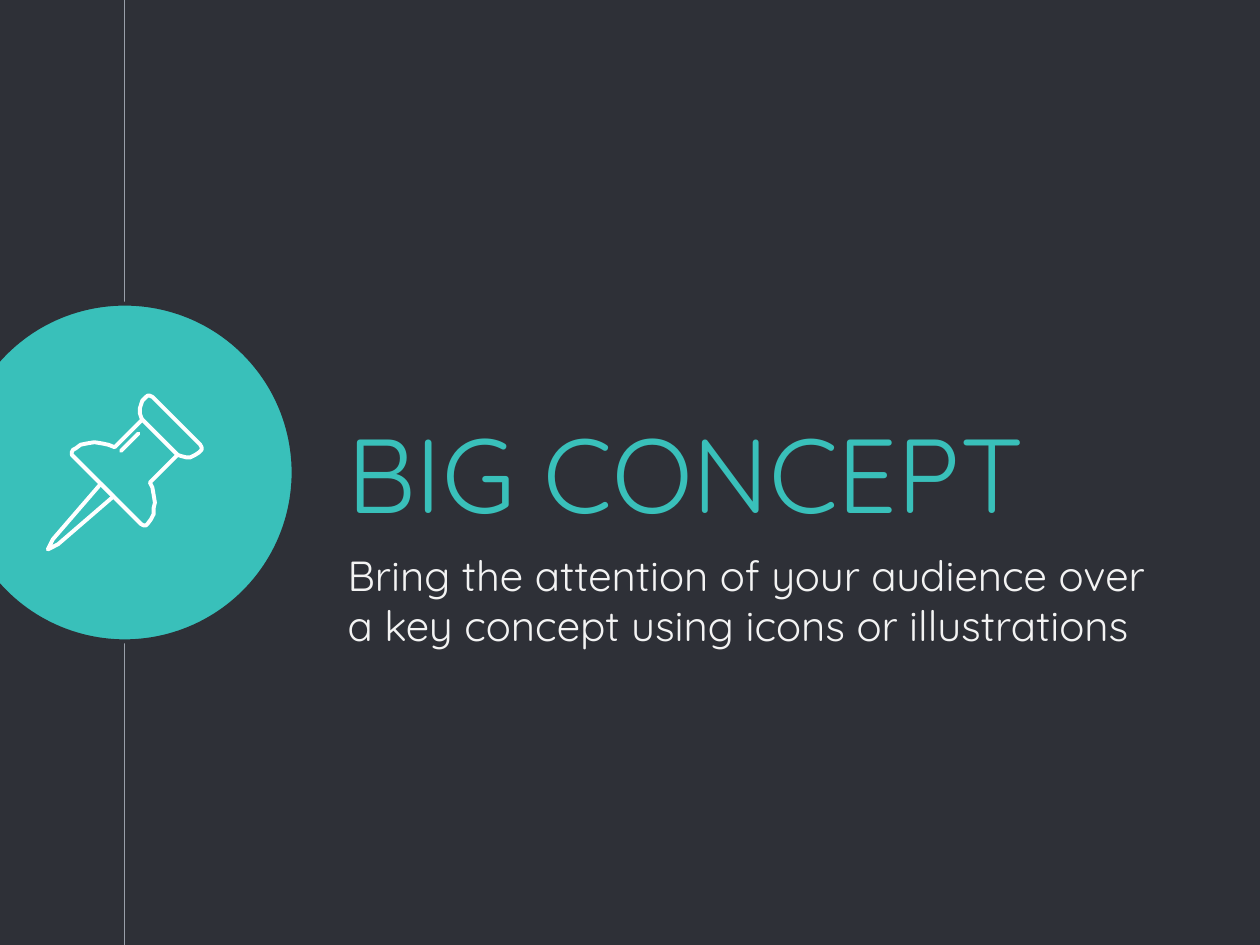
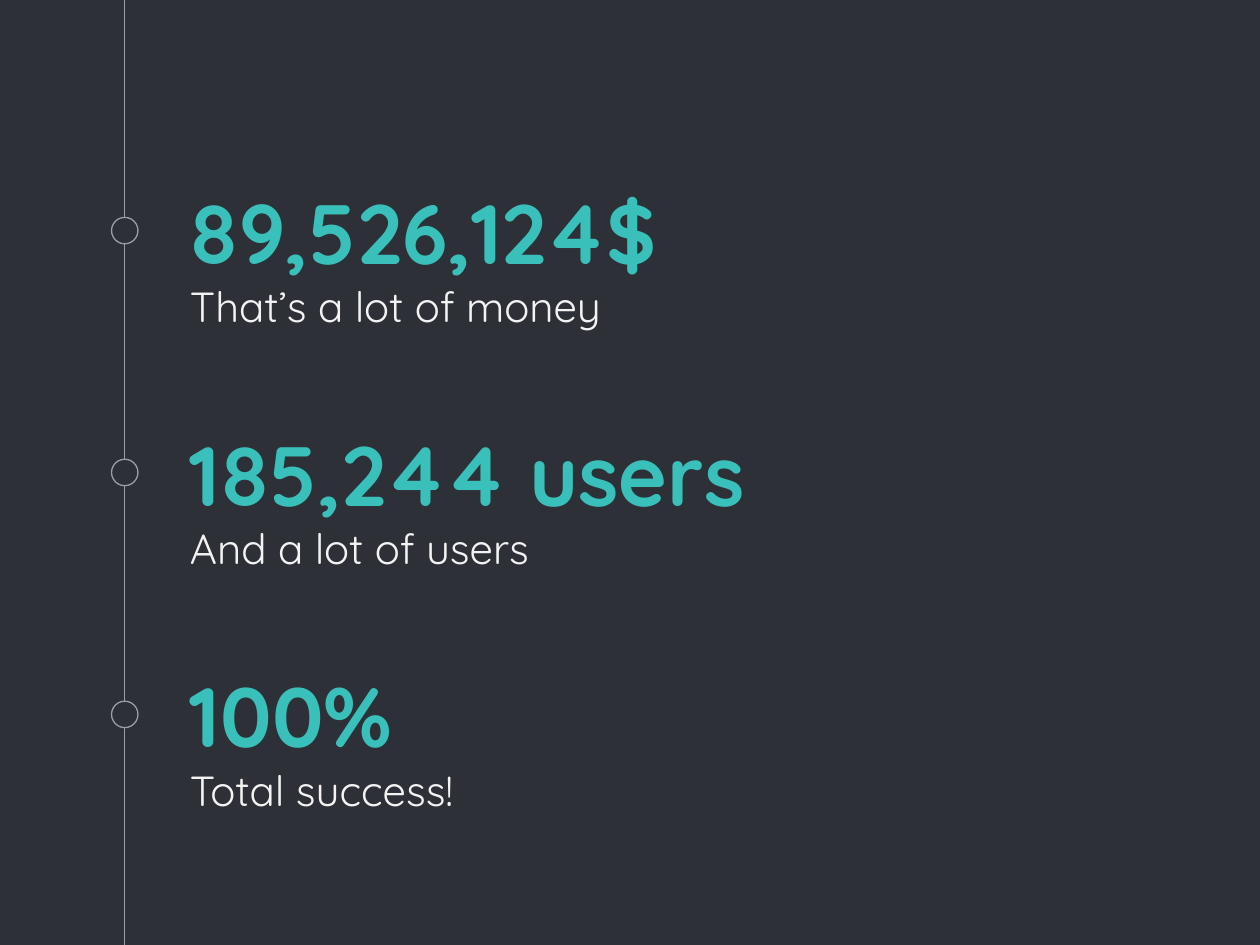
from dataclasses import dataclass

from lxml import etree
from pptx import Presentation, util as u
from pptx.dml.color import RGBColor
from pptx.enum import shapes, text
from pptx.oxml import ns

DARK = RGBColor(0x2E, 0x30, 0x37)
TEAL = RGBColor(0x39, 0xC0, 0xBA)
GREY = RGBColor(0x99, 0x9F, 0xA9)
PALE = RGBColor(0xF3, 0xF3, 0xF3)
WHITE = RGBColor(0xFF, 0xFF, 0xFF)
FONT = "Quicksand"

# Square grid: 100 columns by 75 rows, all positions below are in grid cells
COLUMNS, ROWS = 100, 75
WIDTH = u.Inches(10)
CELL = WIDTH // COLUMNS
AXIS = 9.9              # column of the timeline
MIDDLE = ROWS / 2       # row of the middle dot
DOT = 2.1
DISC = 26.8
STAT_PITCH = 19.2       # rows between two figures


def cells(count: float) -> u.Emu:
    return u.Emu(round(count * CELL))


@dataclass(frozen=True)
class Stat:
    figure: str
    caption: str


@dataclass(frozen=True)
class Stroke:
    """Outline of one part of the pin, in tenths of a cell."""
    points: tuple[tuple[int, int], ...]
    closed: bool = True


STATS = (
    Stat("89,526,124$", "That’s a lot of money"),
    Stat("185,244 users", "And a lot of users"),
    Stat("100%", "Total success!"),
)

NEEDLE = Stroke(((80, 384), (42, 428), (38, 436), (46, 432), (90, 394)))
HEAD = Stroke((
    (113, 333), (141, 361), (144, 362), (148, 363), (151, 363), (155, 361),
    (158, 359), (160, 357), (160, 355), (159, 353), (121, 315), (119, 314),
    (117, 314), (115, 316), (113, 318), (112, 321), (111, 324), (111, 328),
    (112, 331)))
BODY = Stroke((
    (113, 333), (91, 355), (86, 353), (81, 352), (75, 351), (69, 352),
    (64, 353), (60, 356), (58, 357), (57, 359), (57, 361), (58, 362),
    (112, 416), (114, 417), (116, 417), (117, 416), (120, 412), (122, 408),
    (122, 403), (123, 399), (122, 393), (121, 387), (119, 383), (141, 361)),
    closed=False)
SHINE = Stroke(((96, 358), (110, 344)), closed=False)


def add_text(slide, content: str, left: float, top: float, width: float,
             height: float, *, size: float, color: RGBColor,
             bold: bool = False, anchor=text.MSO_ANCHOR.TOP) -> None:
    box = slide.shapes.add_textbox(*map(cells, (left, top, width, height)))
    frame = box.text_frame
    frame.word_wrap = True
    frame.vertical_anchor = anchor
    frame.margin_left = frame.margin_right = cells(1)
    frame.margin_top = frame.margin_bottom = cells(1)
    run = frame.paragraphs[0].add_run()
    run.text = content
    run.font.name = FONT
    run.font.size = u.Pt(size)
    run.font.bold = bold
    run.font.color.rgb = color


def add_circle(slide, row: float, diameter: float, fill: RGBColor,
               line: RGBColor, weight: float) -> None:
    """Circle centred on the timeline."""
    circle = slide.shapes.add_shape(
        shapes.MSO_SHAPE.OVAL, cells(AXIS - diameter / 2),
        cells(row - diameter / 2), cells(diameter), cells(diameter))
    circle.shadow.inherit = False
    circle.fill.solid()
    circle.fill.fore_color.rgb = fill
    circle.line.color.rgb = line
    circle.line.width = u.Pt(weight)


def add_pin(slide) -> None:
    pin = slide.shapes.add_group_shape()
    for stroke in (NEEDLE, HEAD, BODY, SHINE):
        start, *rest = stroke.points
        builder = pin.shapes.build_freeform(*start, scale=CELL / 10)
        builder.add_line_segments(rest, close=stroke.closed)
        part = builder.convert_to_shape()
        part.shadow.inherit = False
        part.fill.background()
        part.line.color.rgb = WHITE
        part.line.width = u.Pt(2.25)
        # Rounded ends and corners
        outline = part.line._get_or_add_ln()
        outline.set("cap", "rnd")
        etree.SubElement(outline, ns.qn("a:round"))


def add_timeline_slide(deck):
    """Dark blank slide with the vertical timeline."""
    slide = deck.slides.add_slide(deck.slide_layouts[6])
    slide.background.fill.solid()
    slide.background.fill.fore_color.rgb = DARK
    timeline = slide.shapes.add_connector(
        shapes.MSO_CONNECTOR.STRAIGHT, cells(AXIS), 0, cells(AXIS), cells(ROWS))
    timeline.line.color.rgb = GREY
    timeline.line.width = u.Pt(0.75)
    etree.SubElement(timeline._element.spPr, ns.qn("a:effectLst"))
    return slide


def build_concept(deck) -> None:
    slide = add_timeline_slide(deck)
    add_circle(slide, MIDDLE, DISC, TEAL, DARK, 2.25)
    add_text(slide, "BIG CONCEPT", 26.6, 29, 65.9, 16.9, size=60, color=TEAL,
             anchor=text.MSO_ANCHOR.MIDDLE)
    add_text(slide, "Bring the attention of your audience over a key concept "
             "using icons or illustrations", 26.6, 42.6, 65.9, 11.4,
             size=24, color=PALE)
    add_pin(slide)


def build_stats(deck) -> None:
    slide = add_timeline_slide(deck)
    for index, stat in enumerate(STATS):
        row = MIDDLE + (index - 1) * STAT_PITCH
        add_circle(slide, row, DOT, DARK, GREY, 0.75)
        add_text(slide, stat.figure, 14.1, row - 8.1, 77.6, 13.1, size=48,
                 color=TEAL, bold=True, anchor=text.MSO_ANCHOR.BOTTOM)
        add_text(slide, stat.caption, 14.1, row + 3, 77.6, 6.8,
                 size=24, color=PALE)


deck = Presentation()
deck.slide_width = WIDTH
deck.slide_height = cells(ROWS)
build_concept(deck)
build_stats(deck)
deck.save("out.pptx")
